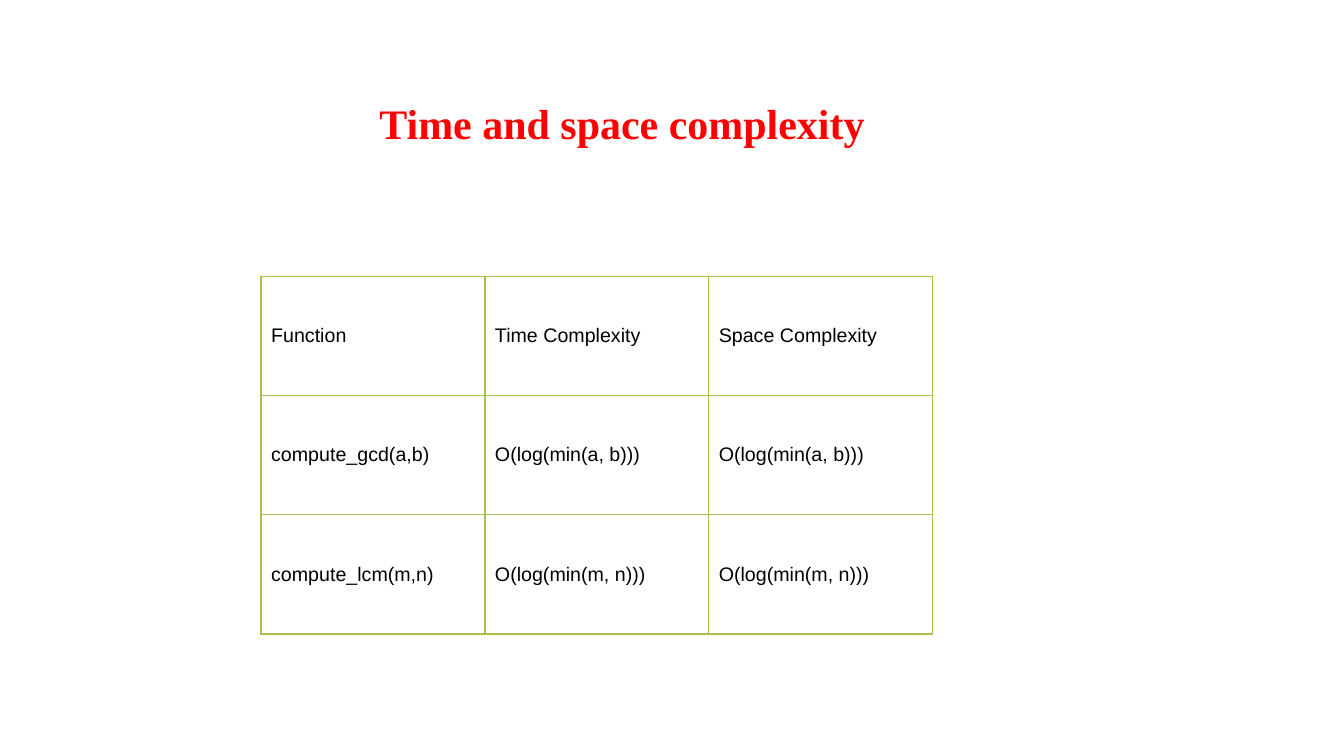
import pptx
import pptx.util
import pptx.dml.color
import pptx.enum.text
import pptx.oxml
import pptx.oxml.ns

Pt = pptx.util.Pt

ROWS = [
    ["Function", "Time Complexity", "Space Complexity"],
    ["compute_gcd(a,b)", "O(log(min(a, b)))", "O(log(min(a, b)))"],
    ["compute_lcm(m,n)", "O(log(min(m, n)))", "O(log(min(m, n)))"],
]


def color(code):
    return pptx.dml.color.RGBColor.from_string(code)


def style(para, face, size, code, bold=False):
    para.font.name = face
    para.font.size = Pt(size)
    para.font.bold = bold
    para.font.color.rgb = color(code)


def border(cell, code, width):
    props = cell._tc.get_or_add_tcPr()
    # Border lines must come before the cell fill
    for place, side in enumerate(("lnL", "lnR", "lnT", "lnB")):
        line = pptx.oxml.parse_xml(
            f'<a:{side} {pptx.oxml.ns.nsdecls("a")} w="{Pt(width)}">'
            f'<a:solidFill><a:srgbClr val="{code}"/></a:solidFill></a:{side}>')
        props.insert(place, line)


def add_title(slide, text):
    box = slide.shapes.add_textbox(Pt(204.5), Pt(66.25), Pt(480), Pt(60.5))
    box.text_frame.word_wrap = True
    para = box.text_frame.paragraphs[0]
    para.text = text
    para.alignment = pptx.enum.text.PP_ALIGN.CENTER
    style(para, "Times New Roman", 30, "FF0000", True)


def add_grid(slide, rows):
    frame = slide.shapes.add_table(
        len(rows), len(rows[0]), Pt(186.5), Pt(197.3), Pt(479.7), Pt(255.6))
    table = frame.table
    table.first_row = False
    table.horz_banding = False
    for r, row in enumerate(rows):
        for c, text in enumerate(row):
            cell = table.cell(r, c)
            cell.text = text
            cell.vertical_anchor = pptx.enum.text.MSO_ANCHOR.MIDDLE
            cell.fill.background()
            border(cell, "A5C249", 1)
            style(cell.text_frame.paragraphs[0], "Arial", 14, "000000")


def main():
    deck = pptx.Presentation()
    deck.slide_width, deck.slide_height = Pt(960), Pt(540)
    slide = deck.slides.add_slide(deck.slide_layouts[6])

    # Heading
    add_title(slide, "Time and space complexity")

    # Complexity of each function
    add_grid(slide, ROWS)

    deck.save("out.pptx")


if __name__ == "__main__":
    main()
